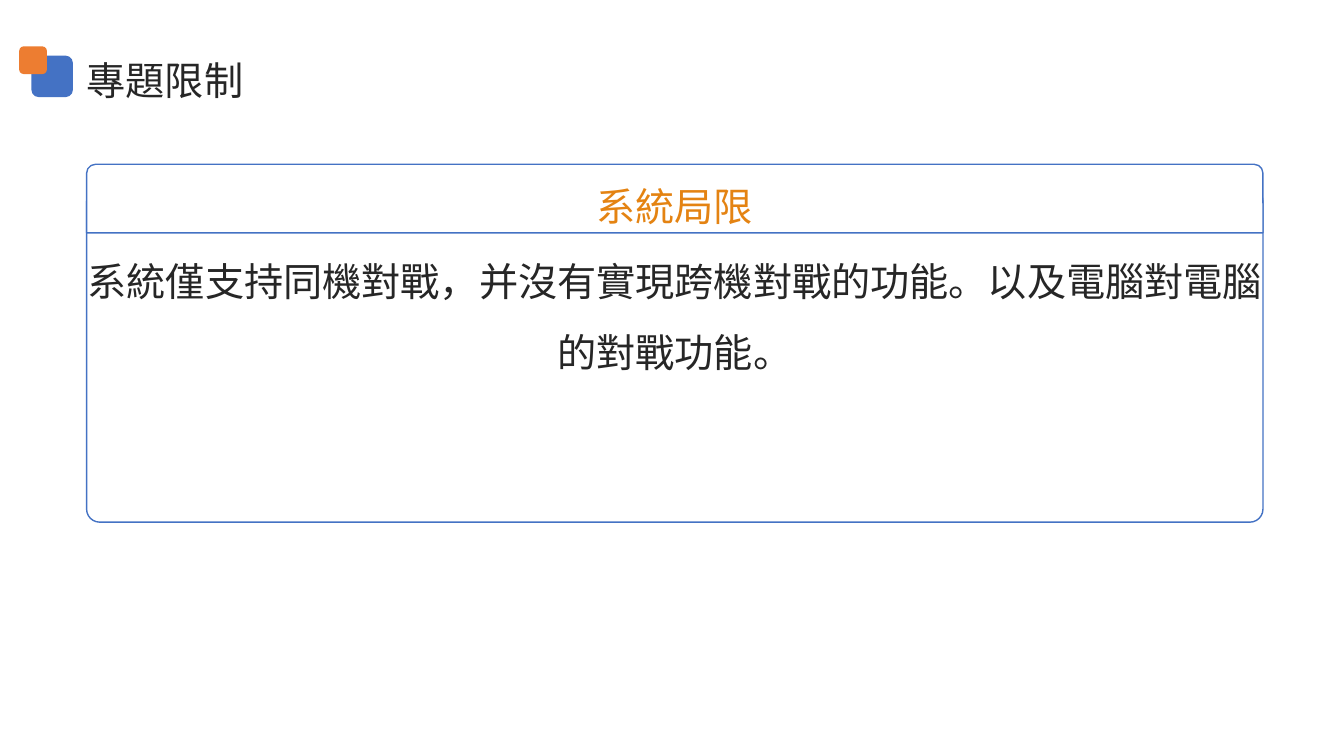
import pptx
import pptx.util
import pptx.dml.color
import pptx.enum.shapes
import pptx.enum.text
import pptx.oxml.ns
from lxml import etree

Pt = pptx.util.Pt
Kind = pptx.enum.shapes.MSO_SHAPE
Anchor = pptx.enum.text.MSO_ANCHOR
Align = pptx.enum.text.PP_ALIGN
hues = {"white": "FFFFFF", "blue": "4472C4", "orange": "ED7D31",
        "amber": "E48312", "ink": "262626"}
font = "Noto Sans CJK SC"
left, width = 61.92, 840.24


def hue(name):
    return pptx.dml.color.RGBColor.from_string(hues[name])


deck = pptx.Presentation()
deck.slide_width, deck.slide_height = Pt(960), Pt(540)
slide = deck.slides.add_slide(deck.slide_layouts[6])

# Card, card header and the two squares beside the title
for kind, box, adjust, fill, line in [
    (Kind.ROUNDED_RECTANGLE, (left, 134.64, width, 238.32), [0.039], "white", "blue"),
    (Kind.ROUND_2_SAME_RECTANGLE, (left, 117.36, width, 48.96), [0.128, 0], "white", "blue"),
    (Kind.ROUNDED_RECTANGLE, (22.5, 39.8, 29.5, 29.5), [], "blue", None),
    (Kind.ROUNDED_RECTANGLE, (13.7, 33.1, 19.8, 19.8), [], "orange", None),
]:
    shape = slide.shapes.add_shape(kind, *map(Pt, box))
    shape.shadow.inherit = False
    for spot, value in enumerate(adjust):
        shape.adjustments[spot] = value
    shape.fill.solid()
    shape.fill.fore_color.rgb = hue(fill)
    if line:
        shape.line.color.rgb = hue(line)
        shape.line.width = Pt(1)
    else:
        shape.line.fill.background()

# Body, card heading and slide title
for text, top, height, anchor, align, space, tint in [
    ("系統僅支持同機對戰，并沒有實現跨機對戰的功能。以及電腦對電腦的對戰功能。",
     167.04, 208.08, Anchor.TOP, Align.CENTER, 1.5, "ink"),
    ("系統局限", 117.36, 48.96, Anchor.MIDDLE, Align.CENTER, 1.3, "amber"),
    ("專題限制", 36.72, 36.72, Anchor.MIDDLE, Align.LEFT, 1.1, "ink"),
]:
    box = slide.shapes.add_textbox(*map(Pt, (left, top, width, height)))
    frame = box.text_frame
    form = {"word_wrap": True, "vertical_anchor": anchor, "margin_left": 0,
            "margin_right": 0, "margin_top": 0, "margin_bottom": 0}
    for name, value in form.items():
        setattr(frame, name, value)
    para = frame.paragraphs[0]
    para.alignment, para.line_spacing = align, space
    run = para.add_run()
    run.text = text
    for name, value in {"size": Pt(28), "name": font}.items():
        setattr(run.font, name, value)
    run.font.color.rgb = hue(tint)
    # East Asian typeface
    east = etree.SubElement(run.font._element, pptx.oxml.ns.qn("a:ea"))
    east.set("typeface", font)

deck.save("out.pptx")
